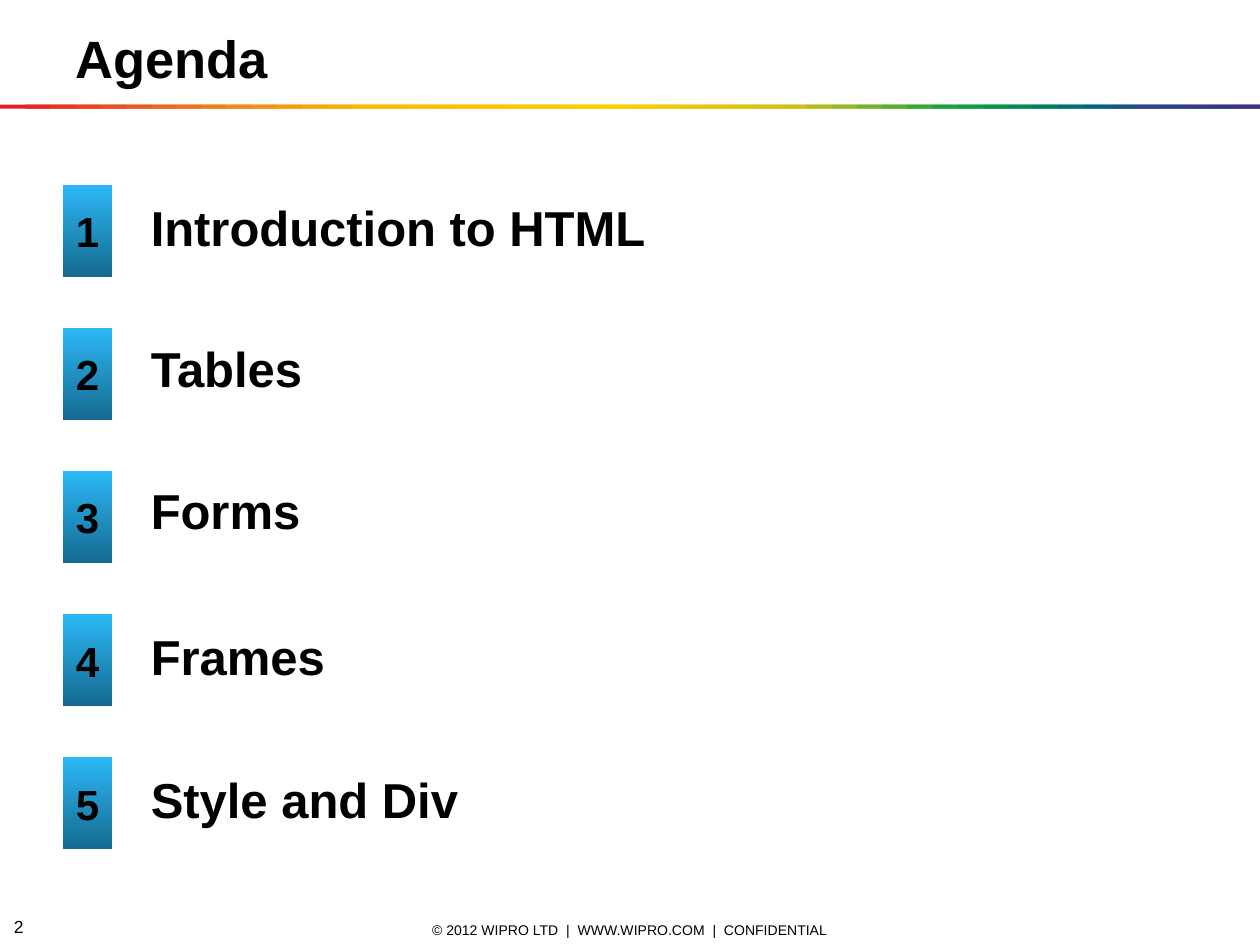
from pptx import Presentation
from pptx.dml.color import RGBColor
from pptx.enum.shapes import MSO_SHAPE
from pptx.enum.text import MSO_ANCHOR, PP_ALIGN
from pptx.util import Cm, Pt

RECT = MSO_SHAPE.RECTANGLE
TOP, MIDDLE, BOTTOM = MSO_ANCHOR.TOP, MSO_ANCHOR.MIDDLE, MSO_ANCHOR.BOTTOM
LEFT, CENTER = PP_ALIGN.LEFT, PP_ALIGN.CENTER
BLACK = RGBColor(0x00, 0x00, 0x00)
DEEP = RGBColor(0x15, 0x6A, 0x90)
SKY = RGBColor(0x2C, 0xB8, 0xF6)

# Strip number and colour; strips in between are blended
STOPS = [
    (0, RGBColor(0xE3, 0x1E, 0x24)),
    (8, RGBColor(0xEF, 0x7E, 0x1A)),
    (14, RGBColor(0xFB, 0xBA, 0x00)),
    (24, RGBColor(0xFE, 0xCB, 0x00)),
    (31, RGBColor(0xCC, 0xC1, 0x17)),
    (37, RGBColor(0x1D, 0xA2, 0x40)),
    (39, RGBColor(0x00, 0x98, 0x46)),
    (43, RGBColor(0x00, 0x63, 0x7F)),
    (45, RGBColor(0x2E, 0x42, 0x85)),
    (49, RGBColor(0x39, 0x31, 0x85)),
]
WIDE, HIGH, COUNT = 25.4, 19.05, 50
STEP = WIDE / COUNT

# Topic and top of its text box
TOPICS = [
    ("Introduction to HTML", 3.76),
    ("Tables", 6.6),
    ("Forms", 9.45),
    ("Frames", 12.4),
    ("Style and Div", 15.29),
]


def blend(index):
    for (low, start), (high, end) in zip(STOPS, STOPS[1:]):
        if index <= high:
            part = (index - low) / (high - low)
            return RGBColor(*(round(a + (b - a) * part) for a, b in zip(start, end)))


def write(shape, text, size, bold=True, align=LEFT, anchor=TOP):
    frame = shape.text_frame
    frame.text = text
    frame.word_wrap = True
    frame.vertical_anchor = anchor
    line = frame.paragraphs[0]
    line.alignment = align
    font = line.runs[0].font
    font.name, font.size, font.bold = "Arial", Pt(size), bold
    font.color.rgb = BLACK


deck = Presentation()
deck.slide_width, deck.slide_height = Cm(WIDE), Cm(HIGH)
slide = deck.slides.add_slide(deck.slide_layouts.get_by_name("Title Only"))
shapes = slide.shapes

# Footer
note = shapes.add_textbox(Cm(8.38), Cm(18.49), Cm(8.64), Cm(0.51))
write(note, "© 2012 WIPRO LTD  |  WWW.WIPRO.COM  |  CONFIDENTIAL", 8, False, CENTER, MIDDLE)
page = shapes.add_textbox(Cm(0.03), Cm(18.47), Cm(0.99), Cm(0.41))
write(page, "2", 10, False, LEFT, MIDDLE)

# Rainbow rule: each strip overlaps the next by half
for index in range(COUNT):
    left = index * STEP
    strip = shapes.add_shape(RECT, Cm(left), Cm(2.11), Cm(min(2 * STEP, WIDE - left)), Cm(0.08))
    strip.shadow.inherit = False
    strip.fill.solid()
    strip.fill.fore_color.rgb = blend(index)
    strip.line.fill.background()

title = shapes.title
title.left, title.top, title.width, title.height = Cm(1.27), Cm(0.41), Cm(22.76), Cm(1.52)
write(title, "Agenda", 30, anchor=BOTTOM)

# Numbered topics
for index, (topic, top) in enumerate(TOPICS):
    label = shapes.add_textbox(Cm(2.79), Cm(top), Cm(21), Cm(1.8))
    write(label, topic, 28)
    label.text_frame.margin_top = Cm(0.23)

    tile = shapes.add_shape(RECT, Cm(1.27), Cm(3.73 + 2.885 * index), Cm(0.99), Cm(1.85))
    tile.shadow.inherit = False
    tile.fill.gradient()
    tile.fill.gradient_angle = 90
    for stop, color in zip(tile.fill.gradient_stops, (DEEP, SKY)):
        stop.color.rgb = color
    tile.line.fill.background()
    write(tile, str(index + 1), 24, align=CENTER, anchor=MIDDLE)

deck.save("out.pptx")
